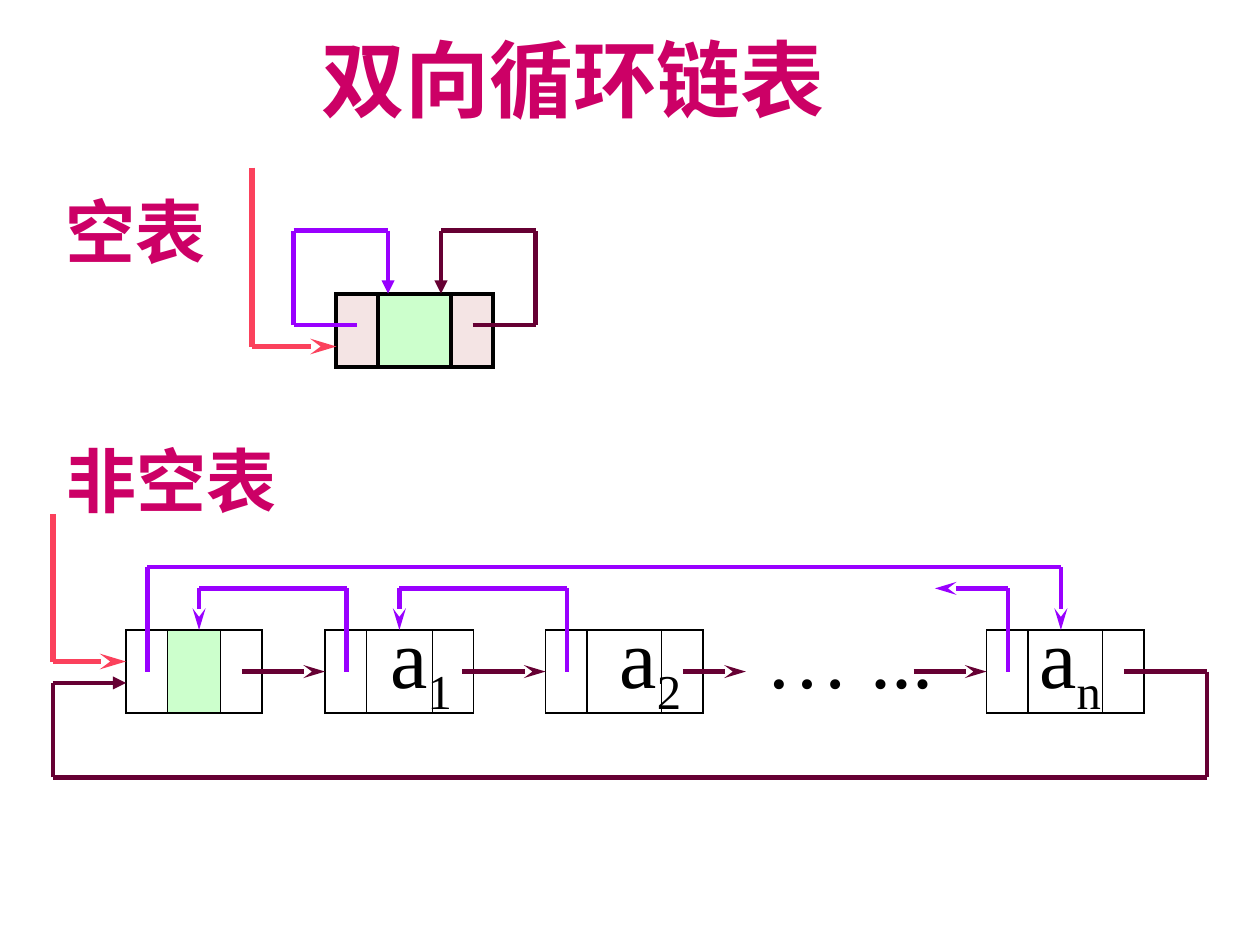
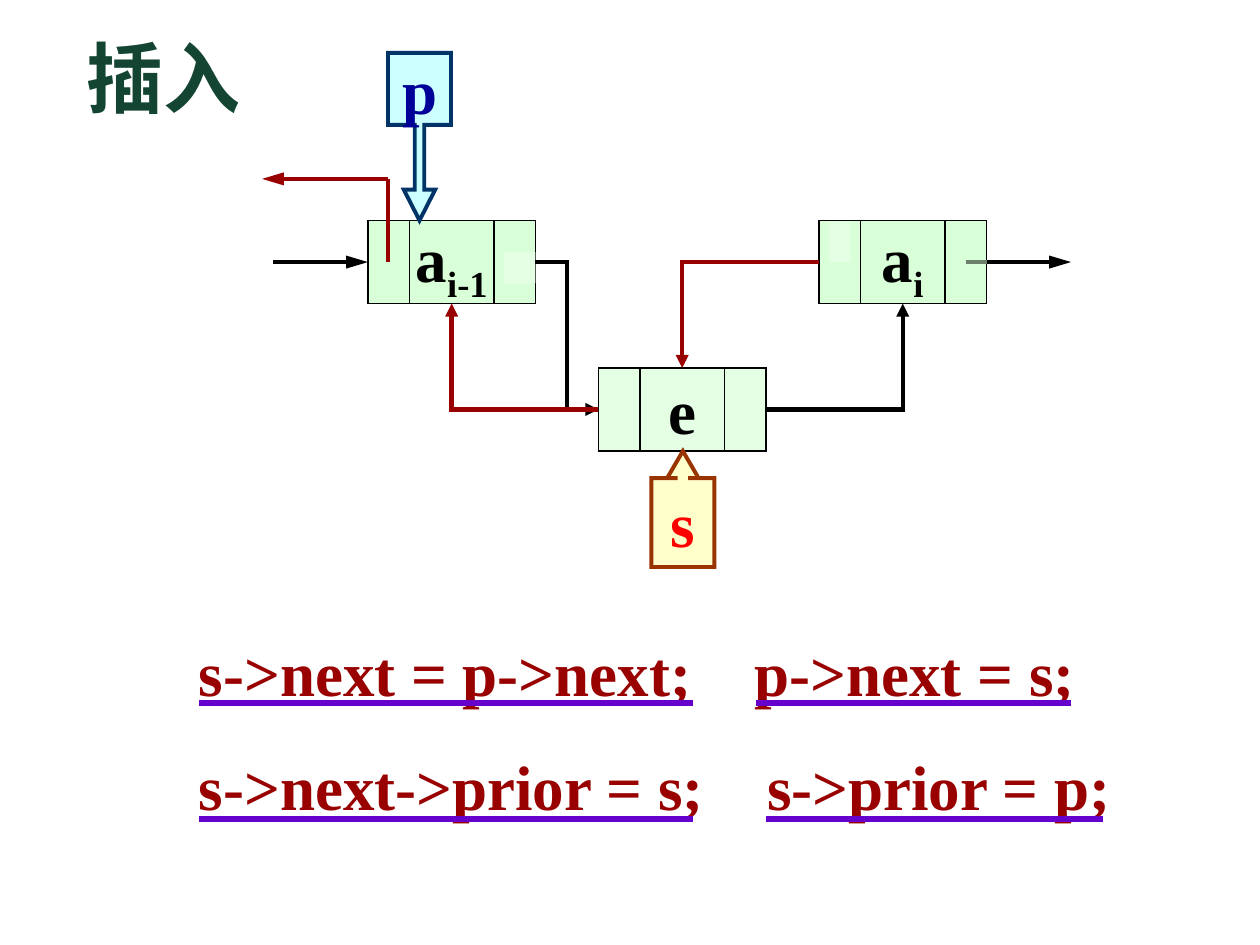
import dataclasses
import itertools

import pptx
import pptx.dml.color
import pptx.enum.shapes
import pptx.enum.text
import pptx.oxml
import pptx.oxml.ns
import pptx.util

Inches = pptx.util.Inches
SHAPES = pptx.enum.shapes.MSO_SHAPE
CONNECTORS = pptx.enum.shapes.MSO_CONNECTOR
TOP, LEFT, BOTTOM, RIGHT = range(4)
LINK_WIDTH = 0.33
NODE_HEIGHT = 0.66
STEALTH = {"type": "stealth", "len": "lg"}
TRIANGLE = {"type": "triangle"}
LONG_TRIANGLE = {"type": "triangle", "len": "lg"}


class Theme:
    font = "Times New Roman"
    title_size, label_size, heading_size, body_size = 48, 40, 44, 36
    thin, frame, link, pointer = 0.75, 2.25, 2.5, 3
    black = "000000"
    title = "CC0066"
    heading = "134532"
    head_pointer = "FB415C"
    prior = "9900FF"
    next = "660033"
    data_cell = "CCFFCC"
    link_cell = "F4E4E4"
    node = "D8FFD8"
    pale_node = "E5FFE5"
    faded_arrow = "6C7F6C"
    code = "990000"
    underline = "6600CC"
    p_fill, p_line, p_text = "CCFFFF", "003366", "000099"
    s_fill, s_line, s_text = "FFFFCC", "993300", "FF0000"


def rgb(value):
    return pptx.dml.color.RGBColor.from_string(value)


def add_child(parent, tag, **attributes):
    child = pptx.oxml.parse_xml(f"<{tag} {pptx.oxml.ns.nsdecls('a')}/>")
    for name, value in attributes.items():
        child.set(name, value)
    parent.append(child)
    return child


def style_line(line, color, width):
    """Give a line its colour, width and sharp corners."""
    line.color.rgb = rgb(color)
    line.width = pptx.util.Pt(width)
    add_child(line._get_or_add_ln(), "a:miter", lim="800000")


def write(paragraph, text, size, color, bold=True, tabs=()):
    """Fill a paragraph; pieces between bars are subscripts."""
    if tabs:
        tab_list = add_child(paragraph._p.get_or_add_pPr(), "a:tabLst")
        for position in tabs:
            add_child(tab_list, "a:tab", pos=str(Inches(position)), algn="l")
    font = paragraph.font
    font.name, font.size, font.bold = Theme.font, pptx.util.Pt(size), bold
    font.color.rgb = rgb(color)
    for index, piece in enumerate(text.split("|")):
        if piece:
            run = paragraph.add_run()
            run.text = piece
            if index % 2:
                run._r.get_or_add_rPr().set("baseline", "-25000")


@dataclasses.dataclass
class Region:
    """An area of a slide; its parts are placed from its top left corner."""
    slide: object
    left: float
    top: float

    def place(self, x, y):
        return Inches(self.left + x), Inches(self.top + y)

    def text(self, x, y, width, height, text, size, color, wrap=False, **style):
        box = self.slide.shapes.add_textbox(
            *self.place(x, y), Inches(width), Inches(height))
        box.text_frame.word_wrap = wrap
        write(box.text_frame.paragraphs[0], text, size, color, **style)
        return box

    def shape(self, x, y, width, height, fill=None, line=Theme.black,
              line_width=Theme.thin, kind=SHAPES.RECTANGLE):
        shape = self.slide.shapes.add_shape(
            kind, *self.place(x, y), Inches(width), Inches(height))
        shape.shadow.inherit = False
        if fill:
            shape.fill.solid()
            shape.fill.fore_color.rgb = rgb(fill)
        else:
            shape.fill.background()
        if line:
            style_line(shape.line, line, line_width)
        else:
            shape.line.fill.background()
        return shape

    def line(self, start, end, color, width, head=None, kind=CONNECTORS.STRAIGHT):
        connector = self.slide.shapes.add_connector(
            kind, *self.place(*start), *self.place(*end))
        style_line(connector.line, color, width)
        if head:
            add_child(connector.line._get_or_add_ln(), "a:tailEnd", **head)
        add_child(connector._element.spPr, "a:effectLst")
        return connector

    def route(self, points, color, head=STEALTH, width=Theme.link):
        """Straight pieces through the points; the last one has the arrowhead."""
        steps = list(itertools.pairwise(points))
        for start, end in steps[:-1]:
            self.line(start, end, color, width)
        return self.line(*steps[-1], color, width, head)

    def elbow(self, source, source_side, target, target_side, color, bends):
        connector = self.line((0, 0), (1, 1), color, Theme.link, TRIANGLE,
                              CONNECTORS.ELBOW)
        connector.begin_connect(source, source_side)
        connector.end_connect(target, target_side)
        if bends == 1:
            connector._element.spPr.prstGeom.set("prst", "bentConnector2")

    def node(self, x, y, width, fill=None, label=None):
        """A prior cell, a data cell and a next cell."""
        frame = self.shape(x, y, width, NODE_HEIGHT, fill)
        for divider in (x + LINK_WIDTH, x + width - LINK_WIDTH):
            self.line((divider, y), (divider, y + NODE_HEIGHT),
                      Theme.black, Theme.thin)
        if label:
            center_label(frame, label, Theme.black)
        return frame


def center_label(shape, label, color):
    frame = shape.text_frame
    frame.word_wrap = False
    frame.vertical_anchor = pptx.enum.text.MSO_ANCHOR.MIDDLE
    paragraph = frame.paragraphs[0]
    paragraph.alignment = pptx.enum.text.PP_ALIGN.CENTER
    write(paragraph, label, Theme.body_size, color)


def draw_empty_list(region):
    region.text(0, 0.12, 1.4, 0.77, "空表", Theme.label_size, Theme.title)
    # Head node
    for x, width, fill in ((2.58, 0.58, Theme.data_cell),
                           (3.16, LINK_WIDTH, Theme.link_cell),
                           (2.25, LINK_WIDTH, Theme.link_cell)):
        region.shape(x, 1, width, 0.58, fill, line_width=Theme.frame)
    # Both links return to the node
    for color, start, side, end in ((Theme.next, 3.33, 3.83, 3.08),
                                    (Theme.prior, 2.41, 1.91, 2.66)):
        region.route([(start, 1.25), (side, 1.25), (side, 0.5), (end, 0.5),
                      (end, 1)], color, TRIANGLE)
    region.route([(1.58, 0), (1.58, 1.42), (2.25, 1.42)], Theme.head_pointer,
                 width=Theme.pointer)


def draw_filled_list(region):
    region.text(0.01, 0, 2, 0.77, "非空表", Theme.label_size, Theme.title)
    top, middle = 1.58, 1.91
    # Nodes and their data
    region.text(2.58, 1.33, 6.5, 0.9, "a|1|\ta|2|\t… ...\ta|n", Theme.title_size,
                Theme.black, wrap=True, bold=False, tabs=(1.82, 2.98, 5.15))
    head, first, second, last = (
        region.node(x, top, width)
        for x, width in ((0.58, 1.08), (2.16, 1.18), (3.91, 1.25), (7.41, 1.25)))
    region.shape(0.91, top, 0.42, NODE_HEIGHT, Theme.data_cell)
    # Prior links
    region.route([(7.58, middle), (7.58, 1.25), (7, 1.25)], Theme.prior)
    for start, height, end, target in ((4.08, 1.25, 2.75, first),
                                       (2.33, 1.25, 1.16, None),
                                       (0.75, 1.08, 8, None)):
        arrow = region.route([(start, middle), (start, height), (end, height),
                              (end, top)], Theme.prior)
        if target:
            arrow.end_connect(target, TOP)
    # Next links
    for start, end, target in ((1.5, 2.16, first), (3.25, 3.91, second),
                               (5, 5.5, None), (6.83, 7.41, last)):
        arrow = region.route([(start, middle), (end, middle)], Theme.next)
        if target:
            arrow.end_connect(target, LEFT)
    # Head pointer and the link from the last node back to the head
    region.route([(0, 0.66), (0, 1.83), (0.58, 1.83)], Theme.head_pointer,
                 width=Theme.pointer)
    region.route([(8.5, middle), (9.16, middle), (9.16, 2.75), (0, 2.75), (0, 2),
                  (0.58, 2)], Theme.next, TRIANGLE)


def draw_insertion(region):
    middle = 1.66
    # Nodes, with lighter areas in the outer two
    before = region.node(0.84, 1.33, 1.33, Theme.node, "a|i-1")
    after = region.node(4.42, 1.33, 1.33, Theme.node, "a|i")
    inserted = region.node(2.67, 2.5, 1.33, Theme.pale_node, "e")
    region.shape(1.92, 1.58, 0.25, 0.25, Theme.pale_node, line=None)
    region.shape(4.5, 1.34, 0.17, 0.32, Theme.pale_node, line=None)
    # Pointer callouts
    for box, kind, fill, line, adjustments, label, color in (
            ((1, 0, 0.5, 1.33), SHAPES.DOWN_ARROW_CALLOUT, Theme.p_fill,
             Theme.p_line, (0.15, 0.25, 0.49, 0.43), "p", Theme.p_text),
            ((3.09, 3.16, 0.5, 0.92), SHAPES.UP_ARROW_CALLOUT, Theme.s_fill,
             Theme.s_line, (0.17, 0.25, 0.43, 1.12), "s", Theme.s_text)):
        callout = region.shape(*box, fill, line, Theme.frame, kind)
        for index, value in enumerate(adjustments):
            callout.adjustments[index] = value
        center_label(callout, label, color)
    # Links to the rest of the list
    incoming = region.route([(0.09, middle), (0.84, middle)], Theme.black,
                            LONG_TRIANGLE)
    incoming.end_connect(before, LEFT)
    region.line((5.59, middle), (5.75, middle), Theme.faded_arrow, Theme.link)
    outgoing = region.route([(5.75, middle), (6.42, middle)], Theme.black,
                            LONG_TRIANGLE)
    outgoing.begin_connect(after, RIGHT)
    region.route([(1, middle), (1, 1), (0, 1)], Theme.code, LONG_TRIANGLE)
    # Links around the inserted node
    region.elbow(inserted, RIGHT, after, BOTTOM, Theme.black, 1)
    region.elbow(before, RIGHT, inserted, LEFT, Theme.black, 2)
    region.elbow(after, LEFT, inserted, TOP, Theme.code, 1)
    region.elbow(inserted, LEFT, before, BOTTOM, Theme.code, 1)


def draw_code(region):
    first, second = (("s->next = p->next;\tp->next = s;", 4.41),
                     ("s->next->prior = s;\ts->prior = p;", 4.51))
    box = region.text(0, 0, 7.7, 1.9, first[0], Theme.body_size, Theme.code,
                      wrap=True, tabs=first[1:])
    write(box.text_frame.add_paragraph(), second[0], Theme.body_size, Theme.code,
          tabs=second[1:])
    for paragraph in box.text_frame.paragraphs:
        paragraph.line_spacing = 1.5
    # Underlines
    for start, end, y in ((0.1, 4.02, 0.9), (4.52, 7.02, 0.9),
                          (0.1, 4.02, 1.82), (4.6, 7.27, 1.82)):
        region.line((start, y), (end, y), Theme.underline, Theme.pointer)


def main():
    presentation = pptx.Presentation()
    presentation.slide_width, presentation.slide_height = Inches(10), Inches(7.5)
    blank = presentation.slide_layouts[6]

    slide = presentation.slides.add_slide(blank)
    Region(slide, 2.45, 0.17).text(0, 0, 4.3, 0.9, "双向循环链表",
                                   Theme.title_size, Theme.title)
    draw_empty_list(Region(slide, 0.42, 1.33))
    draw_filled_list(Region(slide, 0.42, 3.42))

    slide = presentation.slides.add_slide(blank)
    Region(slide, 0.59, 0.19).text(0, 0, 1.5, 0.84, "插入",
                                   Theme.heading_size, Theme.heading)
    draw_insertion(Region(slide, 2.08, 0.42))
    draw_code(Region(slide, 1.48, 4.68))

    presentation.save("out.pptx")


if __name__ == "__main__":
    main()
